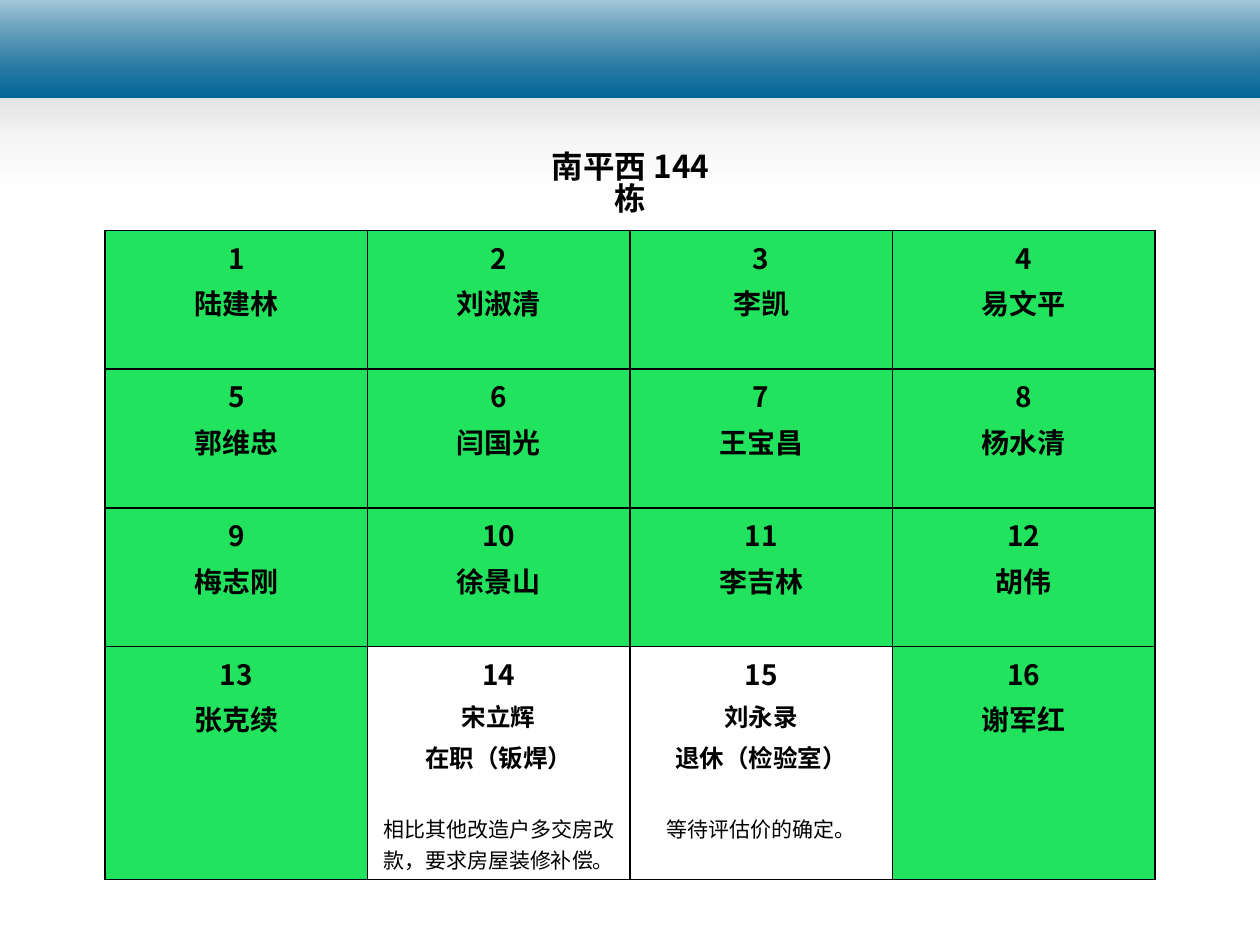
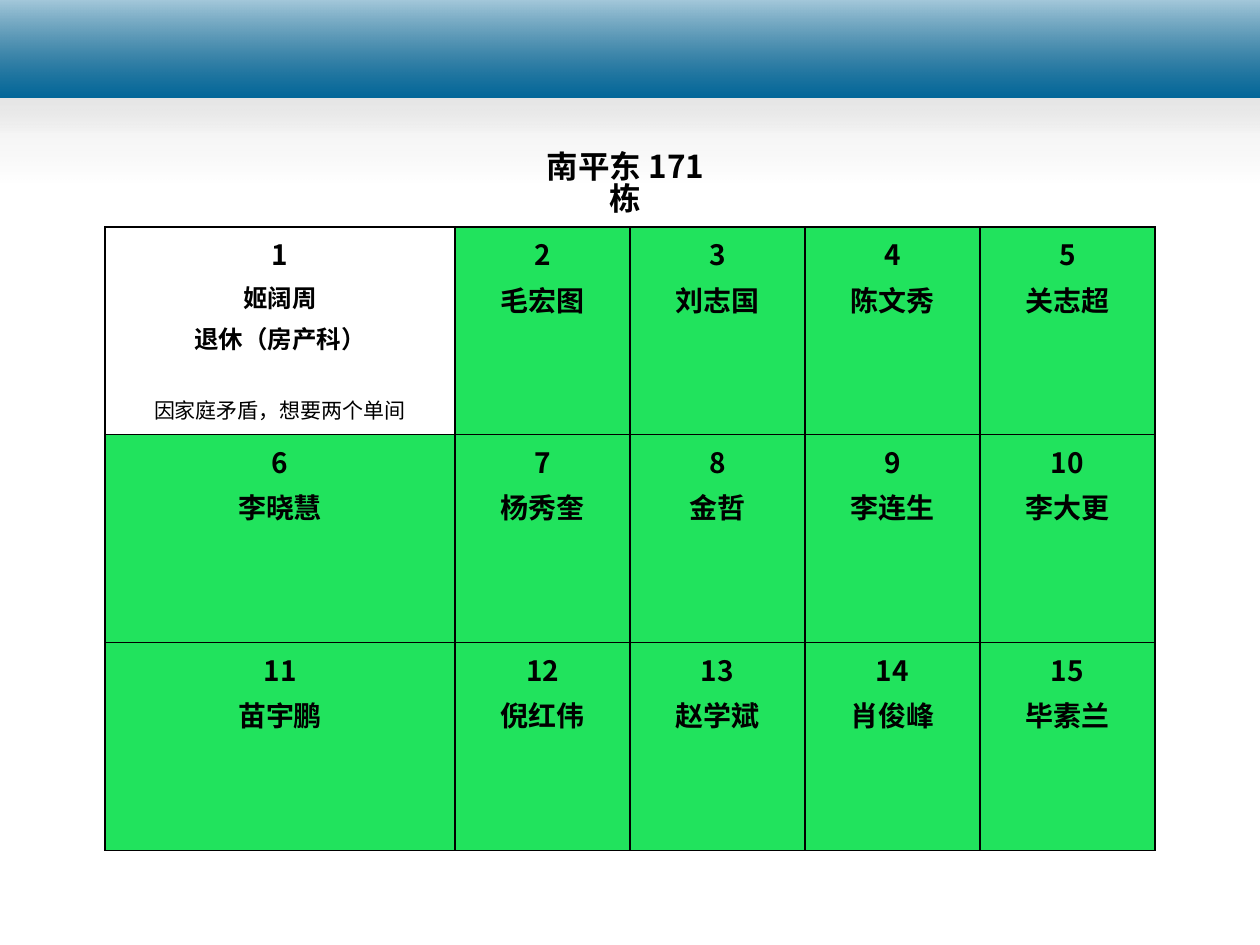
from dataclasses import dataclass, field

from lxml import etree
from pptx import Presentation, util as u
from pptx.dml.color import RGBColor
from pptx.enum import shapes, text
from pptx.oxml import ns

SLIDE_WIDTH = u.Inches(10)
SLIDE_HEIGHT = u.Inches(7.5)
GRID_COLUMNS = 200
GRID_ROWS = 150

BLACK = RGBColor(0x00, 0x00, 0x00)
WHITE = RGBColor(0xFF, 0xFF, 0xFF)
GRAY = RGBColor(0xB6, 0xB6, 0xB6)
BLUE = RGBColor(0x00, 0x66, 0x99)
DEEP_BLUE = RGBColor(0x00, 0x65, 0x97)
SIGNED_GREEN = RGBColor(0x21, 0xE3, 0x5D)

FONT = "Noto Sans CJK SC"
TITLE_SIZE, NAME_SIZE, HOLDOUT_SIZE, REASON_SIZE = 18, 16, 14, 12
LINE_GAP = 3
REASON_GAP = 22


@dataclass(frozen=True)
class Band:
    rows: float
    top_color: RGBColor = WHITE
    bottom_color: RGBColor = GRAY
    top_opacity: int = 65
    bottom_opacity: int = 0


@dataclass(frozen=True)
class Holdout:
    job: str
    reason: str


@dataclass(frozen=True)
class Building:
    title: str
    title_left: float
    title_columns: float
    table_top: float
    column_weights: list[int]
    row_heights: list[int]
    residents: list[str]
    holdouts: dict[int, Holdout] = field(default_factory=dict)


@dataclass(frozen=True)
class Line:
    words: str
    size: int
    bold: bool = True
    gap: int = LINE_GAP


BANDS = [
    Band(21),
    Band(21),
    Band(29),
    Band(15.6, BLUE, DEEP_BLUE, 100, 100),
    Band(15.6),
]

BUILDINGS = [
    Building(
        "南平西 144 栋", 82, 36.2, 36.6, [1, 1, 1, 1], [22, 22, 22, 37],
        ["陆建林", "刘淑清", "李凯", "易文平",
         "郭维忠", "闫国光", "王宝昌", "杨水清",
         "梅志刚", "徐景山", "李吉林", "胡伟",
         "张克续", "宋立辉", "刘永录", "谢军红"],
        {14: Holdout("在职（钣焊）", "相比其他改造户多交房改款，要求房屋装修补偿。"),
         15: Holdout("退休（检验室）", "等待评估价的确定。")},
    ),
    Building(
        "南平东 171 栋", 81, 36.6, 36, [2, 1, 1, 1, 1], [33, 33, 33],
        ["姬阔周", "毛宏图", "刘志国", "陈文秀", "关志超",
         "李晓慧", "杨秀奎", "金哲", "李连生", "李大更",
         "苗宇鹏", "倪红伟", "赵学斌", "肖俊峰", "毕素兰"],
        {1: Holdout("退休（房产科）", "因家庭矛盾，想要两个单间")},
    ),
]


def across(columns: float) -> int:
    return round(SLIDE_WIDTH * columns / GRID_COLUMNS)


def down(rows: float) -> int:
    return round(SLIDE_HEIGHT * rows / GRID_ROWS)


def style_para(para, size: int, bold: bool = True) -> None:
    para.alignment = text.PP_ALIGN.CENTER
    for span in para.runs:
        span.font.size = u.Pt(size)
        span.font.bold = bold
        span.font.color.rgb = BLACK
        span.font.name = FONT
        etree.SubElement(span._r.get_or_add_rPr(), ns.qn("a:ea"), typeface=FONT)


def draw_band(page, band: Band) -> None:
    box = page.shapes.add_shape(
        shapes.MSO_SHAPE.RECTANGLE, 0, 0, SLIDE_WIDTH, down(band.rows))
    box.shadow.inherit = False
    box.line.fill.background()
    box.fill.gradient()
    box.fill.gradient_angle = 270
    for stop, color in zip(box.fill.gradient_stops, (band.top_color, band.bottom_color)):
        stop.color.rgb = color
    colors = box.element.spPr.iter(ns.qn("a:srgbClr"))
    for color, opacity in zip(colors, (band.top_opacity, band.bottom_opacity)):
        if opacity < 100:
            etree.SubElement(color, ns.qn("a:alpha"), val=str(opacity * 1000))


def draw_title(page, building: Building) -> None:
    box = page.shapes.add_textbox(
        across(building.title_left), down(23.4), across(building.title_columns), down(8))
    frame = box.text_frame
    frame.word_wrap = True
    frame.auto_size = text.MSO_AUTO_SIZE.SHAPE_TO_FIT_TEXT
    frame.margin_left = frame.margin_right = across(3.2)
    frame.text = building.title
    para = frame.paragraphs[0]
    para.line_spacing = 0.83
    style_para(para, TITLE_SIZE)


def draw_borders(cell) -> None:
    properties = cell._tc.get_or_add_tcPr()
    for side in ("lnL", "lnR", "lnT", "lnB"):
        border = etree.SubElement(properties, ns.qn(f"a:{side}"), w=str(u.Pt(1)))
        fill = etree.SubElement(border, ns.qn("a:solidFill"))
        etree.SubElement(fill, ns.qn("a:srgbClr"), val=str(BLACK))


def fill_cell(cell, number: int, name: str, holdout: Holdout | None) -> None:
    lines = [Line(str(number), NAME_SIZE)]
    if holdout:
        lines += [
            Line(name, HOLDOUT_SIZE),
            Line(holdout.job, HOLDOUT_SIZE),
            Line(holdout.reason, REASON_SIZE, False, REASON_GAP),
        ]
    else:
        lines.append(Line(name, NAME_SIZE))
    draw_borders(cell)
    if holdout:
        cell.fill.background()
    else:
        cell.fill.solid()
        cell.fill.fore_color.rgb = SIGNED_GREEN
    cell.text_frame.text = "\n".join(line.words for line in lines)
    for index, (para, line) in enumerate(zip(cell.text_frame.paragraphs, lines)):
        if index:
            para.space_before = u.Pt(line.gap)
        style_para(para, line.size, line.bold)


def draw_residents(page, building: Building) -> None:
    weights, heights = building.column_weights, building.row_heights
    width = SLIDE_WIDTH * 10 // 12
    table = page.shapes.add_table(
        len(heights), len(weights), SLIDE_WIDTH // 12, down(building.table_top),
        width, down(sum(heights))).table
    table.first_row = table.horz_banding = False
    for column, weight in zip(table.columns, weights):
        column.width = width * weight // sum(weights)
    for row, height in zip(table.rows, heights):
        row.height = down(height)
    for number, (cell, name) in enumerate(zip(table.iter_cells(), building.residents), 1):
        fill_cell(cell, number, name, building.holdouts.get(number))


def main() -> None:
    deck = Presentation()
    deck.slide_width, deck.slide_height = SLIDE_WIDTH, SLIDE_HEIGHT
    for building in BUILDINGS:
        page = deck.slides.add_slide(deck.slide_layouts[6])
        for band in BANDS:
            draw_band(page, band)
        draw_title(page, building)
        draw_residents(page, building)
    deck.save("out.pptx")


if __name__ == "__main__":
    main()
